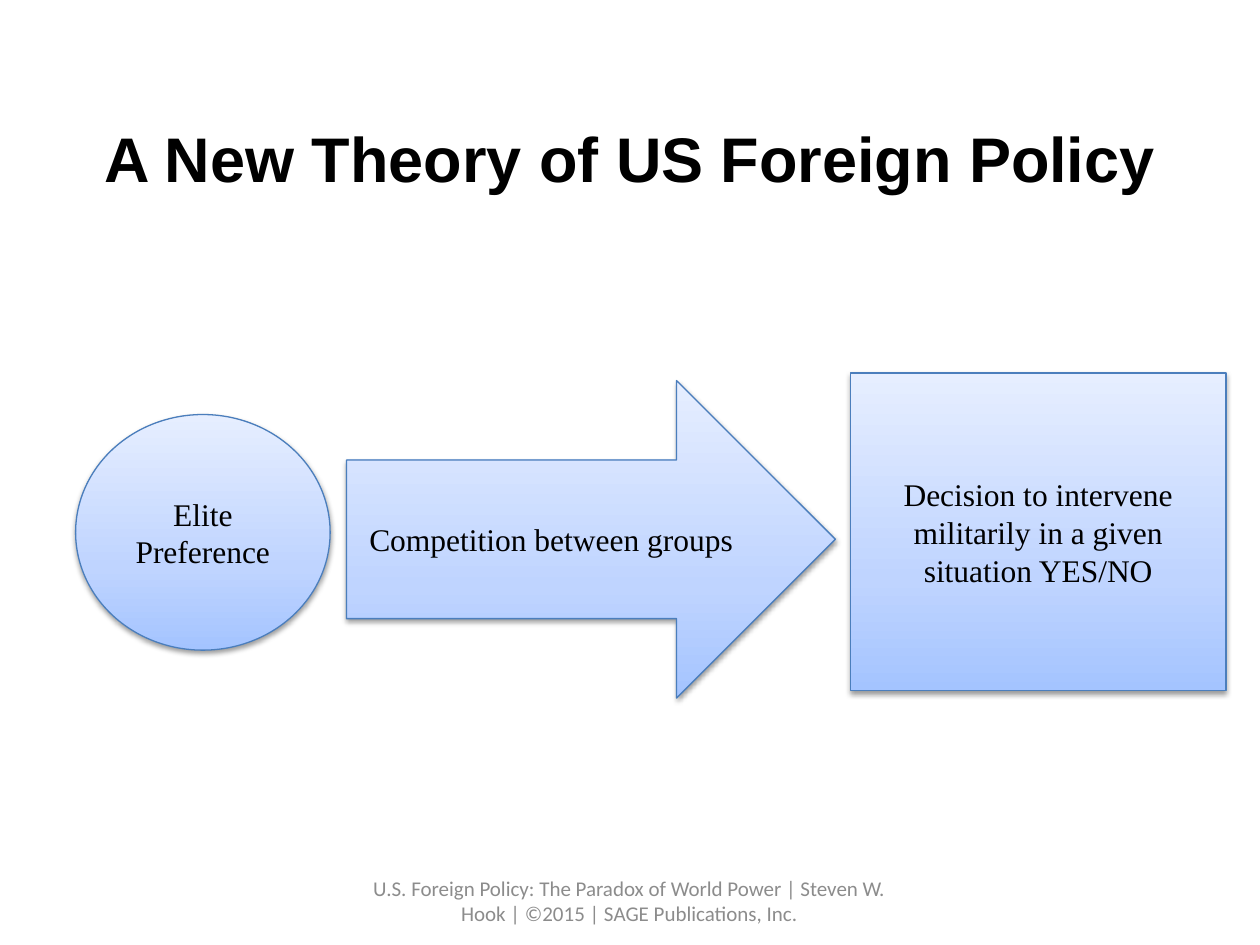
from copy import deepcopy

from lxml.etree import SubElement
from pptx import Presentation
from pptx.dml.color import RGBColor
from pptx.enum.shapes import MSO_SHAPE
from pptx.enum.text import MSO_ANCHOR, PP_ALIGN
from pptx.oxml.ns import qn
from pptx.util import Inches, Pt

BLACK = "000000"
FOOTER_GREY = "8C8C8C"
OUTLINE = "4B7EBC"
GRADIENT = [(0, "A4C4FF"), (0.35, "BFD4FF"), (1, "E6EEFF")]

STAGES = [
    (MSO_SHAPE.FLOWCHART_CONNECTOR, (0.6, 3.29, 2.02, 1.87),
     "Elite Preference"),
    (MSO_SHAPE.RIGHT_ARROW, (2.75, 3.02, 3.88, 2.52),
     "Competition between groups"),
    (MSO_SHAPE.RECTANGLE, (6.75, 2.96, 2.98, 2.52),
     "Decision to intervene militarily in a given situation YES/NO"),
]


def rgb(hex_colour):
    return RGBColor.from_string(hex_colour)


def write(frame, text, font_name, size, colour, anchor=MSO_ANCHOR.MIDDLE, bold=False):
    frame.word_wrap = True
    frame.vertical_anchor = anchor
    paragraph = frame.paragraphs[0]
    paragraph.text = text
    paragraph.alignment = PP_ALIGN.CENTER
    font = paragraph.font
    font.name, font.size, font.bold = font_name, Pt(size), bold
    font.color.rgb = rgb(colour)


def fill_gradient(fill):
    """Fill from bottom to top with the GRADIENT stops."""
    fill.gradient()
    fill.gradient_angle = 90
    stop_list = fill._fill._gradFill.find(qn("a:gsLst"))
    stop_list.append(deepcopy(stop_list[-1]))
    for stop, (position, colour) in zip(fill.gradient_stops, GRADIENT):
        stop.position = position
        stop.color.rgb = rgb(colour)


def add_soft_shadow(shape):
    shape.shadow.inherit = False
    effects = shape._element.spPr.find(qn("a:effectLst"))
    shadow = SubElement(effects, qn("a:outerShdw"), blurRad=str(Pt(3.1)),
                        dist=str(Pt(1.6)), dir="5400000", rotWithShape="0")
    colour = SubElement(shadow, qn("a:srgbClr"), val=BLACK)
    SubElement(colour, qn("a:alpha"), val="38000")


def add_title(slide, box):
    title = slide.shapes.add_textbox(*map(Inches, box)).text_frame
    title.margin_bottom = 0
    write(title, "A New Theory of US Foreign Policy", "Arial", 36, BLACK,
          anchor=MSO_ANCHOR.BOTTOM, bold=True)


def add_footer(slide, box):
    footer = slide.shapes.add_textbox(*map(Inches, box)).text_frame
    write(footer, "U.S. Foreign Policy: The Paradox of World Power | Steven W. Hook"
          " | ©2015 | SAGE Publications, Inc.", "Calibri", 12, FOOTER_GREY)


def add_stage(slide, kind, box, label):
    stage = slide.shapes.add_shape(kind, *map(Inches, box))
    fill_gradient(stage.fill)
    stage.line.color.rgb = rgb(OUTLINE)
    stage.line.width = Pt(0.75)
    add_soft_shadow(stage)
    write(stage.text_frame, label, "Times New Roman", 18, BLACK)


def main():
    presentation = Presentation()
    presentation.slide_width = Inches(10)
    presentation.slide_height = Inches(7.5)
    slide = presentation.slides.add_slide(presentation.slide_layouts[6])
    add_title(slide, (0.5, 0.3, 9, 1.25))
    add_footer(slide, (2.83, 6.95, 4.33, 0.4))
    for kind, box, label in STAGES:
        add_stage(slide, kind, box, label)
    presentation.save("out.pptx")


if __name__ == "__main__":
    main()
